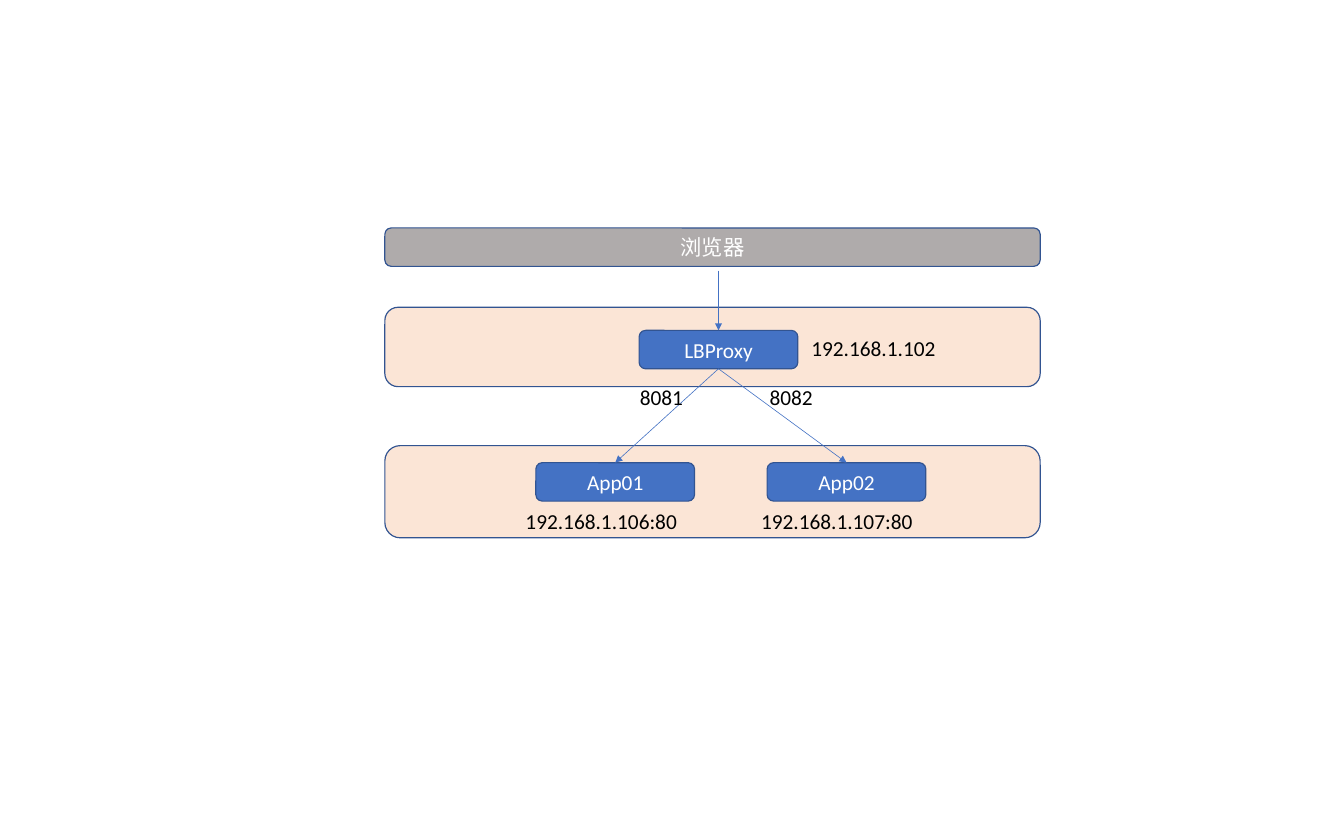
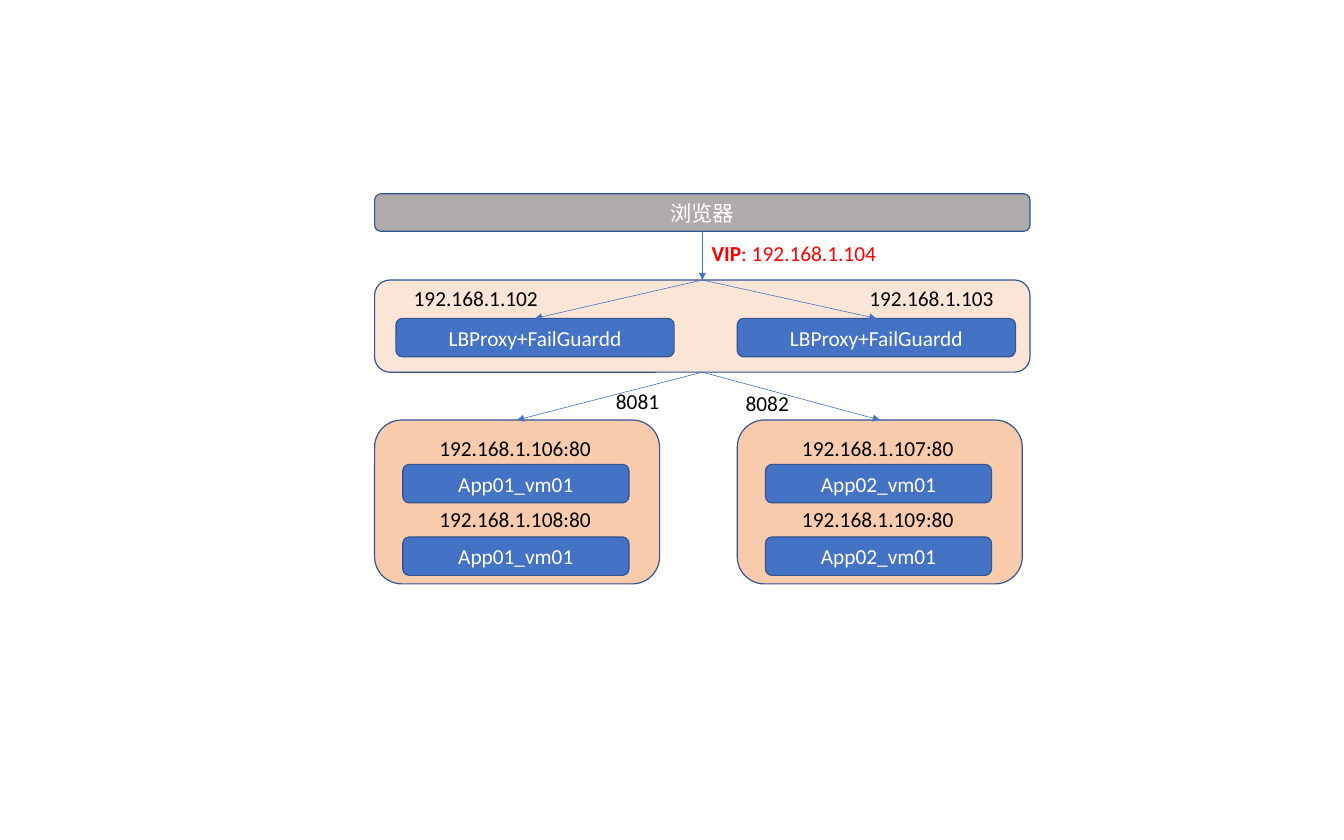
from dataclasses import dataclass
from typing import Optional

from lxml import etree
from pptx import Presentation
from pptx.dml.color import RGBColor
from pptx.enum import shapes, text
from pptx.oxml.ns import qn
from pptx.shapes.autoshape import Shape
from pptx.slide import Slide
from pptx.util import Inches, Pt

WHITE = RGBColor(0xFF, 0xFF, 0xFF)
BLACK = RGBColor(0x00, 0x00, 0x00)
RED = RGBColor(0xFF, 0x00, 0x00)
BLUE = RGBColor(0x44, 0x72, 0xC4)
OUTLINE = RGBColor(0x32, 0x54, 0x91)
GRAY = RGBColor(0xAF, 0xAB, 0xAB)
PEACH = RGBColor(0xFB, 0xE5, 0xD6)
ORANGE = RGBColor(0xF8, 0xCB, 0xAD)

FONT = "Calibri"
BAND_W = 7.68
NODE_H = 0.45
LABEL_H = 0.4
PORT_W, HOST_W, ADDRESS_W = 0.73, 1.7, 2.03
TOP, BOTTOM = 0, 2  # connection sites of a rounded rectangle


@dataclass(frozen=True)
class Box:
    left: float
    top: float
    width: float
    height: float = NODE_H


@dataclass(frozen=True)
class Cluster:
    """One application pool with the addresses of its machines."""
    left: float
    app: str
    addresses: tuple[str, ...]


def add_run(sp: Shape, words: str, *, color: RGBColor = BLACK, bold: bool = False,
            align: text.PP_ALIGN = text.PP_ALIGN.LEFT) -> None:
    p = sp.text_frame.paragraphs[0]
    p.alignment = align
    r = p.add_run()
    r.text = words
    r.font.name = FONT
    r.font.size = Pt(18)
    r.font.bold = bold
    r.font.color.rgb = color


def add_box(slide: Slide, box: Box, fill: RGBColor = BLUE, words: str = "") -> Shape:
    sp = slide.shapes.add_shape(
        shapes.MSO_SHAPE.ROUNDED_RECTANGLE,
        Inches(box.left), Inches(box.top), Inches(box.width), Inches(box.height))
    sp.shadow.inherit = False
    sp.fill.solid()
    sp.fill.fore_color.rgb = fill
    sp.line.color.rgb = OUTLINE
    sp.line.width = Pt(1)
    if words:
        sp.text_frame.vertical_anchor = text.MSO_ANCHOR.MIDDLE
        add_run(sp, words, color=WHITE, align=text.PP_ALIGN.CENTER)
    return sp


def add_label(slide: Slide, left: float, top: float, width: float, words: str = "") -> Shape:
    sp = slide.shapes.add_textbox(Inches(left), Inches(top), Inches(width), Inches(LABEL_H))
    sp.text_frame.word_wrap = False
    sp.text_frame.auto_size = text.MSO_AUTO_SIZE.SHAPE_TO_FIT_TEXT
    if words:
        add_run(sp, words)
    return sp


def add_arrow(slide: Slide, target: Shape, source: Optional[Shape] = None,
              site: int = BOTTOM, start: tuple[float, float] = (0, 0)) -> None:
    """Point at the top of target from a site of source, or from a free start."""
    x, y = Inches(start[0]), Inches(start[1])
    line = slide.shapes.add_connector(shapes.MSO_CONNECTOR.STRAIGHT, x, y, x, y)
    if source is not None:
        line.begin_connect(source, site)
    line.end_connect(target, TOP)
    line.line.color.rgb = BLUE
    line.line.width = Pt(0.5)
    etree.SubElement(line.line._get_or_add_ln(), qn("a:tailEnd"), type="triangle")
    etree.SubElement(line._element.spPr, qn("a:effectLst"))


def build_single_proxy(slide: Slide) -> None:
    left = 4.51
    add_box(slide, Box(left, 3.6, BAND_W, 0.93), PEACH)
    add_box(slide, Box(left, 5.22, BAND_W, 1.08), PEACH)
    add_box(slide, Box(left, 2.67, BAND_W), GRAY, "浏览器")

    node_w = 1.86
    proxy = add_box(slide, Box(7.49, 3.87, node_w), words="LBProxy")
    add_arrow(slide, proxy, start=(8.42, 3.17))
    add_label(slide, 9.41, 3.88, HOST_W, "192.168.1.102")

    for app_left, app, address_left, address, port_left, port in (
        (6.28, "App01", 6.06, "192.168.1.106:80", 7.4, "8081"),
        (8.99, "App02", 8.82, "192.168.1.107:80", 8.92, "8082"),
    ):
        node = add_box(slide, Box(app_left, 5.42, node_w), words=app)
        add_arrow(slide, node, proxy)
        add_label(slide, address_left, 5.9, ADDRESS_W, address)
        add_label(slide, port_left, 4.45, PORT_W, port)


def add_cluster(slide: Slide, cluster: Cluster) -> Shape:
    panel = add_box(slide, Box(cluster.left, 4.92, 3.34, 1.92), ORANGE)
    for i, address in enumerate(cluster.addresses):
        add_box(slide, Box(cluster.left + 0.33, 5.44 + 0.85 * i, 2.65), words=cluster.app)
        add_label(slide, cluster.left + 0.66, 5.05 + 0.83 * i, ADDRESS_W, address)
    return panel


def build_failover_pair(slide: Slide) -> None:
    left = 4.39
    band = add_box(slide, Box(left, 3.28, BAND_W, 1.08), PEACH)
    browser = add_box(slide, Box(left, 2.27, BAND_W, 0.44), GRAY, "浏览器")
    add_arrow(slide, band, browser)

    vip = add_label(slide, 8.24, 2.77, 2.21)
    add_run(vip, "VIP", color=RED, bold=True)
    add_run(vip, ": 192.168.1.104", color=RED)

    for proxy_left, host_left, host in ((4.64, 4.75, "192.168.1.102"),
                                        (8.64, 10.09, "192.168.1.103")):
        proxy = add_box(slide, Box(proxy_left, 3.73, 3.26), words="LBProxy+FailGuardd")
        add_arrow(slide, proxy, band, TOP)
        add_label(slide, host_left, 3.29, HOST_W, host)

    for cluster, port_left, port_top, port in (
        (Cluster(left, "App01_vm01", ("192.168.1.106:80", "192.168.1.108:80")),
         7.12, 4.5, "8081"),
        (Cluster(8.64, "App02_vm01", ("192.168.1.107:80", "192.168.1.109:80")),
         8.64, 4.52, "8082"),
    ):
        add_arrow(slide, add_cluster(slide, cluster), band)
        add_label(slide, port_left, port_top, PORT_W, port)


def main() -> None:
    prs = Presentation()
    prs.slide_width = Inches(15.75)
    prs.slide_height = Inches(9.84)
    for build in (build_single_proxy, build_failover_pair):
        build(prs.slides.add_slide(prs.slide_layouts[6]))
    prs.save("out.pptx")


if __name__ == "__main__":
    main()
